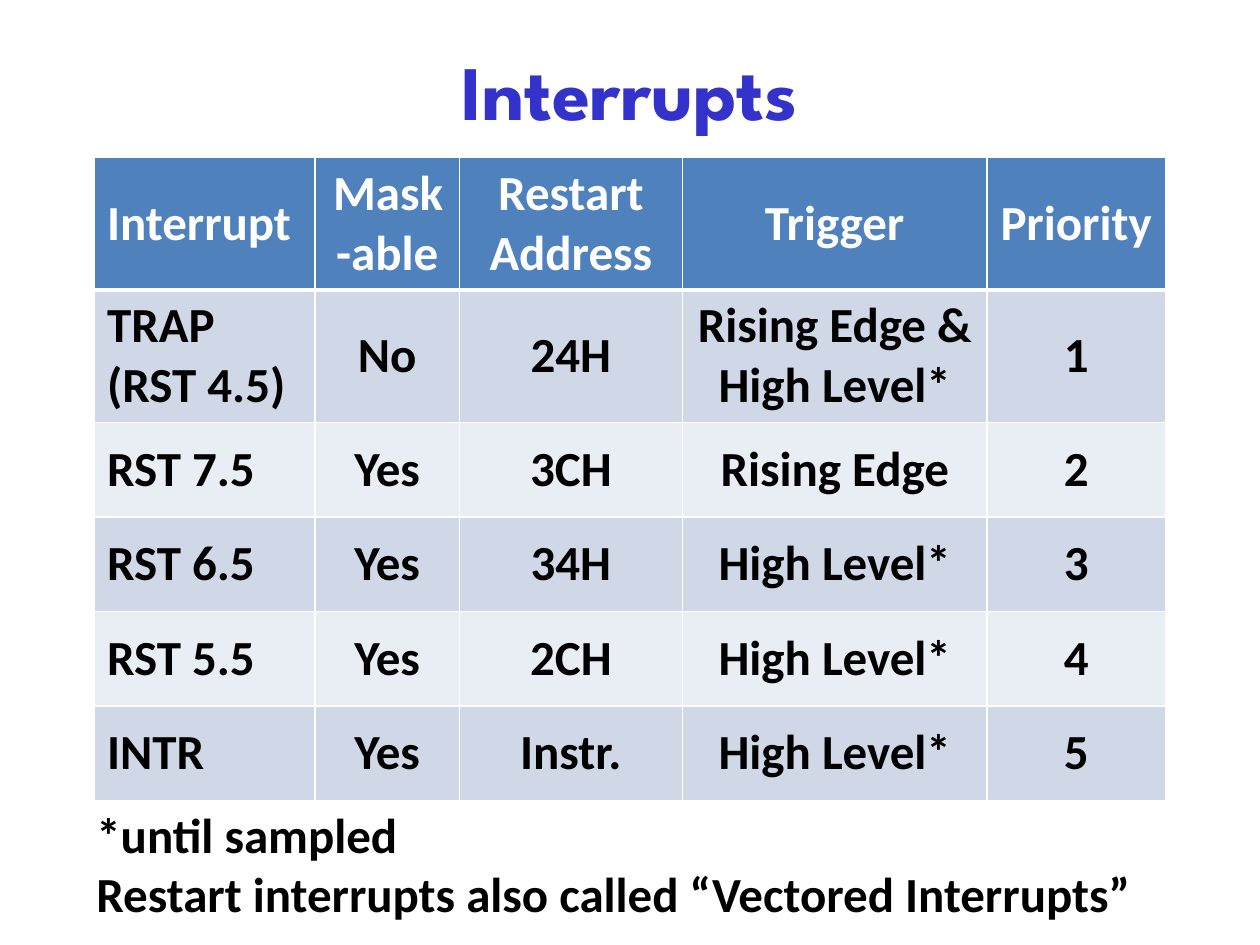
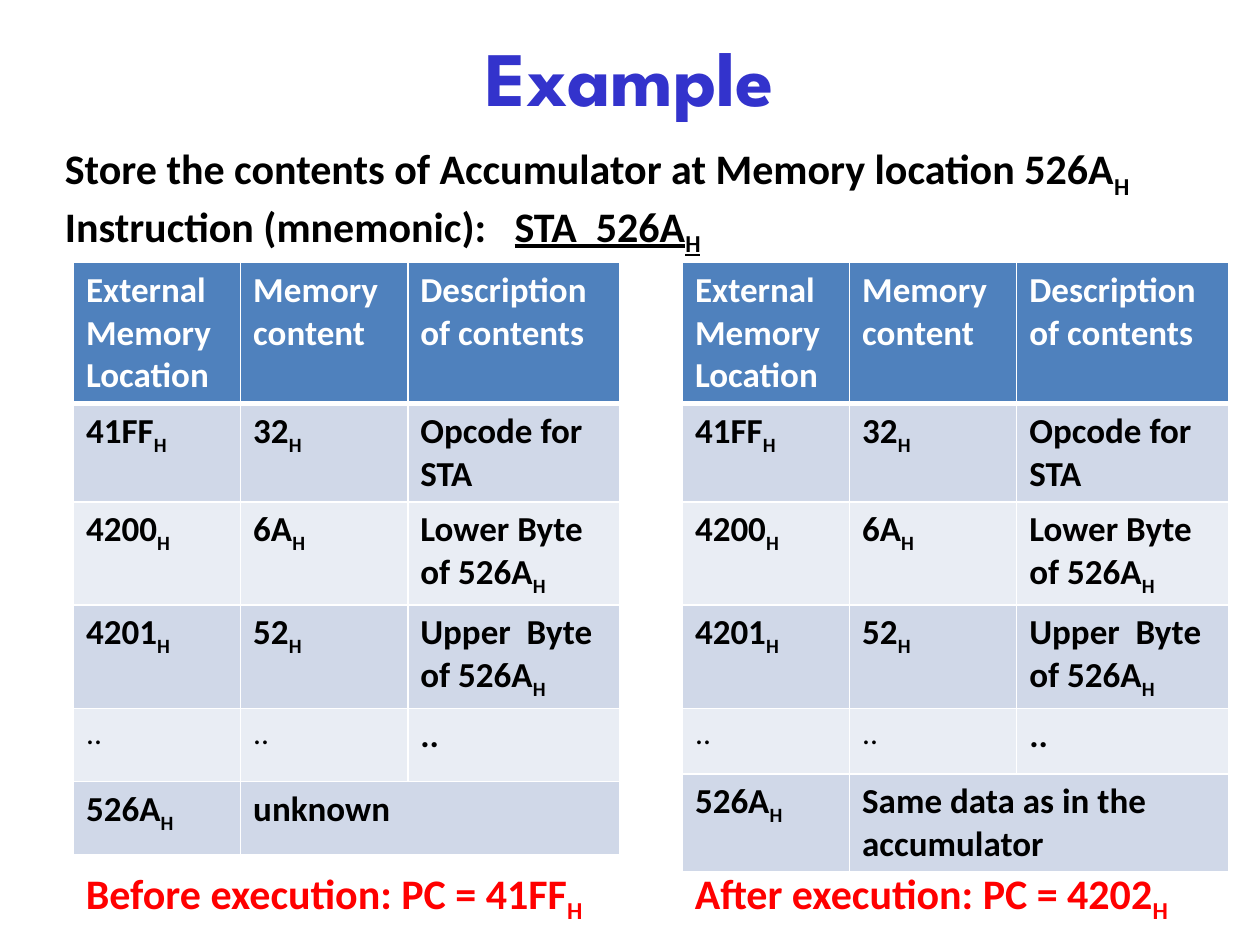
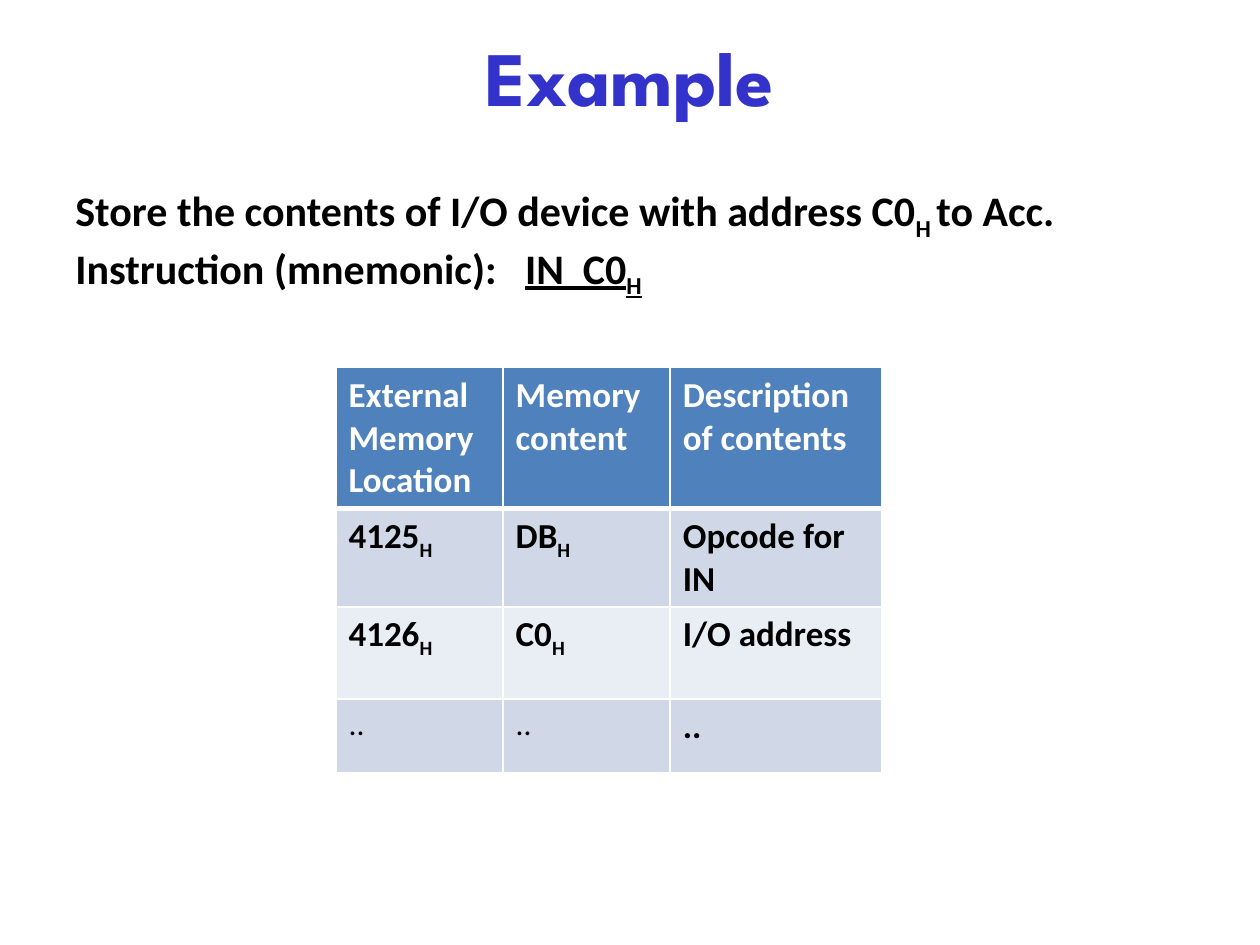
from dataclasses import dataclass

from lxml.etree import SubElement
from pptx import Presentation
from pptx.dml.color import RGBColor
from pptx.enum.text import MSO_ANCHOR as Anchor, MSO_AUTO_SIZE as Fit, PP_ALIGN as Align
from pptx.oxml.ns import qn
from pptx.util import Pt

# Shared colours and formats
BLUE = RGBColor(0x33, 0x33, 0xCC)
HEAD = RGBColor(0x4F, 0x81, 0xBD)
DARK = RGBColor(0xD0, 0xD8, 0xE8)
LIGHT = RGBColor(0xE9, 0xED, 0xF4)
WHITE = RGBColor(0xFF, 0xFF, 0xFF)
BLACK = RGBColor(0, 0, 0)
RED = RGBColor(0xFF, 0, 0)

TITLE = {"name": "League Spartan", "size": Pt(44), "bold": True}
BODY = {"name": "Calibri", "bold": True}
FAINT = {"size": Pt(18), "bold": False}

COLS = (95.5, 95.5, 121)
HEADS = ("External Memory Location", "Memory content", "Description of contents")
DOTS = ("..", "..", "..")
STORE = (
    HEADS,
    ("41FF_H", "32_H", "Opcode for STA"),
    ("4200_H", "6A_H", "Lower Byte of 526A_H"),
    ("4201_H", "52_H", "Upper  Byte of 526A_H"),
    DOTS,
)


@dataclass
class Note:
    left: float
    top: float
    width: float
    height: float
    lines: tuple[str, ...]
    size: int = 24
    color: RGBColor = BLACK
    wrap: bool = True
    tab: float = 0


@dataclass
class Grid:
    left: float
    top: float
    cols: tuple[float, ...]
    rows: tuple[float, ...]
    cells: tuple[tuple[str, ...], ...]
    size: int = 20
    mid: bool = False


@dataclass
class Page:
    title: str
    top: float
    height: float
    grids: tuple[Grid, ...]
    notes: tuple[Note, ...]


# Text: "_" lowers the next word, "~" starts the underlined part
def add_run(para, text: str, fmt: dict, color: RGBColor, low: bool = False) -> None:
    if not text:
        return
    run = para.add_run()
    run.text = text
    for key, val in fmt.items():
        setattr(run.font, key, val)
    run.font.color.rgb = color
    if low:
        run.font._element.set("baseline", "-25000")


def write(para, text: str, fmt: dict, color: RGBColor) -> None:
    for part, line in zip(text.split("~"), (False, True)):
        style = fmt | {"underline": True} if line else fmt
        first, *rest = part.split("_")
        add_run(para, first, style, color)
        for piece in rest:
            low, gap, tail = piece.partition(" ")
            add_run(para, low + gap, style, color, low=True)
            add_run(para, tail, style, color)


def fill_text(frame, lines, fmt: dict, color: RGBColor, align=Align.LEFT) -> None:
    for i, line in enumerate(lines):
        para = frame.add_paragraph() if i else frame.paragraphs[0]
        para.alignment = align
        write(para, line, fmt, color)


def set_tab(para, pos: float) -> None:
    tabs = SubElement(para._p.get_or_add_pPr(), qn("a:tabLst"))
    SubElement(tabs, qn("a:tab"), pos=str(Pt(pos)), algn="l")


def add_note(slide, note: Note) -> None:
    box = slide.shapes.add_textbox(
        Pt(note.left), Pt(note.top), Pt(note.width), Pt(note.height))
    frame = box.text_frame
    frame.word_wrap = note.wrap
    frame.auto_size = Fit.SHAPE_TO_FIT_TEXT
    fill_text(frame, note.lines, BODY | {"size": Pt(note.size)}, note.color)
    if note.tab:
        set_tab(frame.paragraphs[-1], note.tab)


# Tables
def set_edges(cell, row: int) -> None:
    props = cell._tc.get_or_add_tcPr()
    thick = {0: "lnB", 1: "lnT"}.get(row)
    for side in ("lnL", "lnR", "lnT", "lnB"):
        width = 3 if side == thick else 1
        edge = SubElement(props, qn(f"a:{side}"), w=str(Pt(width)))
        paint = SubElement(edge, qn("a:solidFill"))
        SubElement(paint, qn("a:srgbClr"), val=str(WHITE))


def add_grid(slide, grid: Grid) -> None:
    table = slide.shapes.add_table(
        len(grid.rows), len(grid.cols), Pt(grid.left), Pt(grid.top),
        Pt(sum(grid.cols)), Pt(sum(grid.rows))).table
    for col, width in zip(table.columns, grid.cols):
        col.width = Pt(width)
    for row, height in zip(table.rows, grid.rows):
        row.height = Pt(height)
    for r, texts in enumerate(grid.cells):
        if len(texts) < len(grid.cols):
            table.cell(r, len(texts) - 1).merge(table.cell(r, len(grid.cols) - 1))
        for c in range(len(grid.cols)):
            cell = table.cell(r, c)
            set_edges(cell, r)
            cell.fill.solid()
            cell.fill.fore_color.rgb = HEAD if r == 0 else DARK if r % 2 else LIGHT
            if c >= len(texts):
                continue
            fmt = BODY | {"size": Pt(grid.size)}
            if texts[c] == ".." and c < 2:
                fmt |= FAINT
            if grid.mid:
                cell.vertical_anchor = Anchor.MIDDLE
            align = Align.CENTER if grid.mid and c else Align.LEFT
            fill_text(cell.text_frame, texts[c].split("\n"), fmt,
                      BLACK if r else WHITE, align)


# Slide contents
PAGES = (
    Page("Interrupts", 0, 102, (
        Grid(54, 90, (126, 82.5, 127.5, 174, 102), (72, 72, 54, 54, 54, 54), (
            ("Interrupt", "Mask-able", "Restart Address", "Trigger", "Priority"),
            ("TRAP\n(RST 4.5)", "No", "24H", "Rising Edge & High Level*", "1"),
            ("RST 7.5", "Yes", "3CH", "Rising Edge", "2"),
            ("RST 6.5", "Yes", "34H", "High Level*", "3"),
            ("RST 5.5", "Yes", "2CH", "High Level*", "4"),
            ("INTR", "Yes", "Instr.", "High Level*", "5"),
        ), size=28, mid=True),
    ), (
        Note(48, 456, 636, 75, (
            "*until sampled",
            "Restart interrupts also called “Vectored Interrupts”",
        ), size=28),
    )),
    Page("Example", 12, 63, (
        Grid(42, 150, COLS, (75.5, 52.5, 52.5, 52.5, 42, 42),
             STORE + (("526A_H", "unknown"),)),
        Grid(390, 150, COLS, (75, 52, 52, 52, 37.5, 37.5),
             STORE + (("526A_H", "Same data as in the accumulator"),)),
    ), (
        Note(30, 78, 654, 65.5, (
            "Store the contents of Accumulator at Memory location 526A_H",
            "Instruction (mnemonic):\t~STA  526A_H",
        ), tab=257),
        Note(42, 492, 302.5, 36, ("Before execution: PC = 41FF_H",),
             color=RED, wrap=False),
        Note(390, 492, 289.5, 36, ("After execution: PC = 4202_H",),
             color=RED, wrap=False),
    )),
    Page("Example", 12, 63, (
        Grid(192, 210, COLS, (75.5, 52.5, 52.5, 42), (
            HEADS,
            ("4125_H", "DB_H", "Opcode for IN"),
            ("4126_H", "C0_H", "I/O address"),
            DOTS,
        )),
    ), (
        Note(36, 102, 654, 65.5, (
            "Store the contents of I/O device with address C0_H to Acc.",
            "Instruction (mnemonic):\t~IN  C0_H",
        ), tab=257),
    )),
)


def add_page(deck, page: Page) -> None:
    slide = deck.slides.add_slide(deck.slide_layouts.get_by_name("Title Only"))
    title = slide.shapes.title
    place = {"left": 36, "top": page.top, "width": 648, "height": page.height}
    for key, val in place.items():
        setattr(title, key, Pt(val))
    frame = title.text_frame
    frame.auto_size = Fit.NONE
    frame.vertical_anchor = Anchor.MIDDLE
    fill_text(frame, (page.title,), TITLE, BLUE, Align.CENTER)
    for grid in page.grids:
        add_grid(slide, grid)
    for note in page.notes:
        add_note(slide, note)


def main() -> None:
    deck = Presentation()
    deck.slide_width, deck.slide_height = Pt(720), Pt(540)
    for page in PAGES:
        add_page(deck, page)
    deck.save("out.pptx")


if __name__ == "__main__":
    main()
